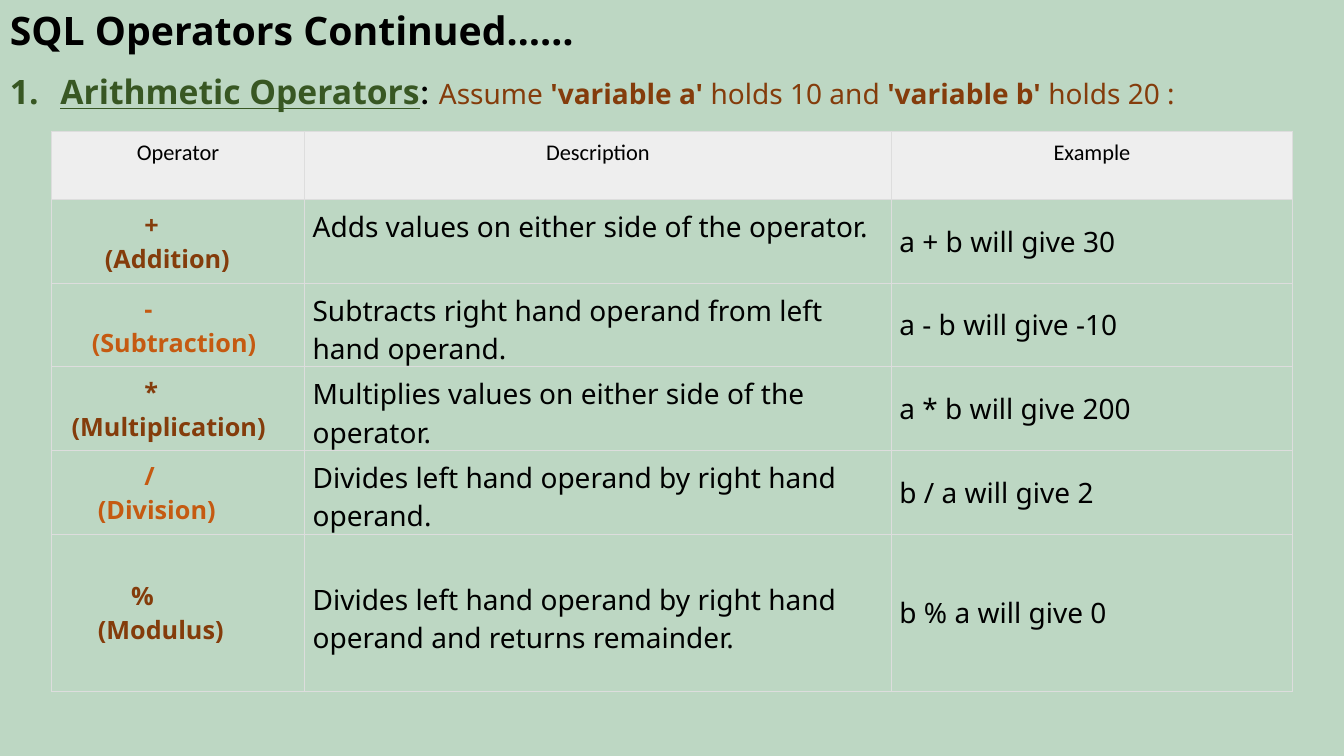
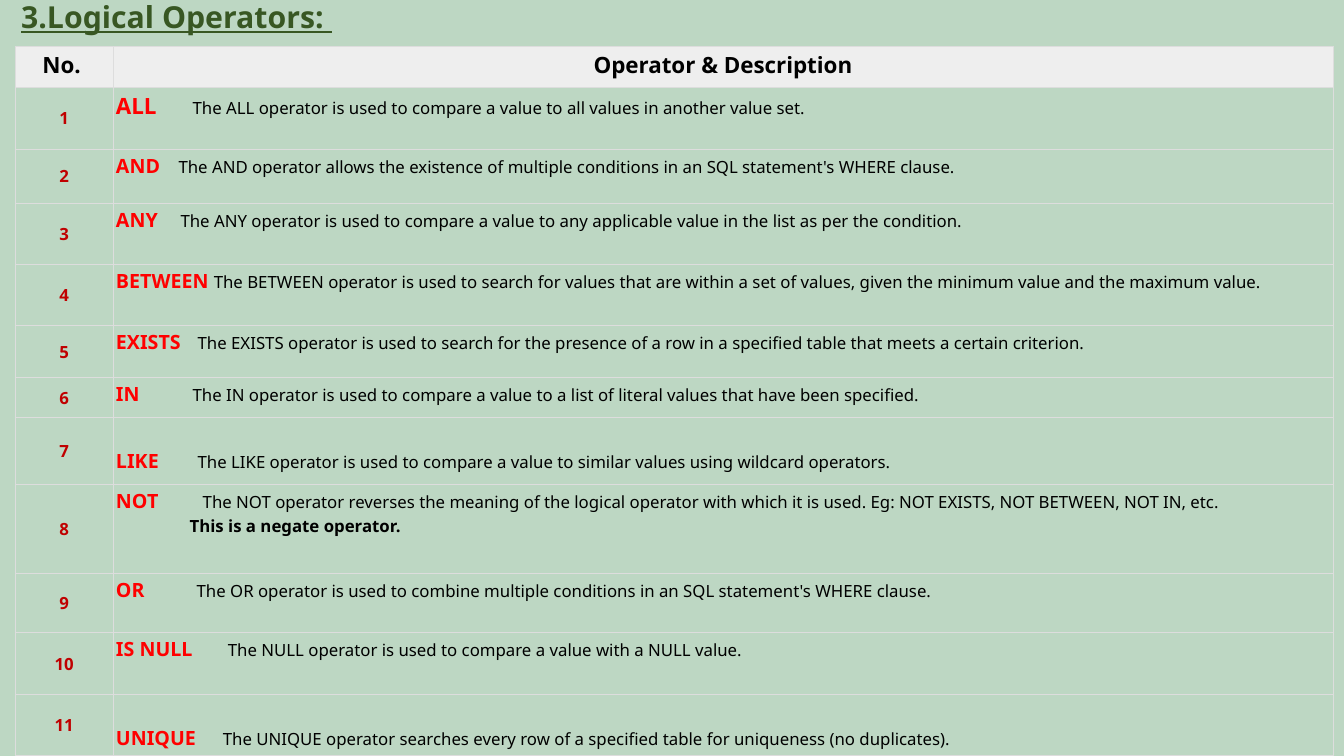
import dataclasses
import itertools

import lxml.etree
import pptx
import pptx.dml.color
import pptx.enum.text
import pptx.oxml.ns
import pptx.util

WIDTH = pptx.util.Inches(13.33)
HEIGHT = pptx.util.Inches(7.5)
PAGE, HEADER_FILL, BORDER = "BDD7C3", "EEEEEE", "DDDDDD"
BLACK, GREEN, BROWN, ORANGE = "000000", "385723", "843C0B", "C55A11"
RED, DARK_RED = "FF0000", "C00000"
BODY_FONT = "Noto Sans"
ALIGN = pptx.enum.text.PP_ALIGN
ANCHOR = pptx.enum.text.MSO_ANCHOR

# Symbol, its indent, name, its indent, description, example, row height
ARITHMETIC = [
    ("+", 0.84, "(Addition)", 0.45,
     "Adds values on either side of the operator.", "a + b will give 30", 0.83),
    ("-", 0.84, "(Subtraction)", 0.32,
     "Subtracts right hand operand from left hand operand.", "a - b will give -10", 0.83),
    ("*", 0.84, "(Multiplication)", 0.12,
     "Multiplies values on either side of the operator.", "a * b will give 200", 0.83),
    ("/", 0.84, "(Division)", 0.38,
     "Divides left hand operand by right hand operand.", "b / a will give 2", 0.83),
    ("%", 0.71, "(Modulus)", 0.38,
     "Divides left hand operand by right hand operand and returns remainder.",
     "b % a will give 0", 1.56),
]

# Operator, tab stop, description, row height
LOGICAL = [
    ("ALL", 0.76, "The ALL operator is used to compare a value to all values in another "
     "value set.", 0.61),
    ("AND", 0.62, "The AND operator allows the existence of multiple conditions in an SQL "
     "statement's WHERE clause.", 0.54),
    ("ANY", 0.64, "The ANY operator is used to compare a value to any applicable value in "
     "the list as per the condition.", 0.6),
    ("BETWEEN", 0.97, "The BETWEEN operator is used to search for values that are within a "
     "set of values, given the minimum value and the maximum value.", 0.61),
    ("EXISTS", 0.81, "The EXISTS operator is used to search for the presence of a row in a "
     "specified table that meets a certain criterion.", 0.52),
    ("IN", 0.76, "The IN operator is used to compare a value to a list of literal values "
     "that have been specified.", 0.39),
    ("LIKE", 0.81, "The LIKE operator is used to compare a value to similar values using "
     "wildcard operators.", 0.67),
    ("NOT", 0.86, "The NOT operator reverses the meaning of the logical operator with which "
     "it is used. Eg: NOT EXISTS, NOT BETWEEN, NOT IN, etc.\u00a0", 0.88),
    ("OR", 0.8, "The OR operator is used to combine multiple conditions in an SQL "
     "statement's WHERE clause.", 0.59),
    ("IS NULL", 1.11, "The NULL operator is used to compare a value with a NULL value.", 0.61),
    ("UNIQUE", 1.06, "The UNIQUE operator searches every row of a specified table for "
     "uniqueness (no duplicates).", 0.61),
]
TERM_SIZES = {"ALL": 16}
LOWERED_TERMS = ("LIKE", "UNIQUE")


@dataclasses.dataclass(frozen=True)
class Style:
    """Character format of a run."""
    size: float
    color: str = BLACK
    bold: bool = False
    underline: bool = False
    font: str = BODY_FONT


def rgb(hex_color):
    """Turn a hex string into a colour."""
    return pptx.dml.color.RGBColor.from_string(hex_color)


def share(left, top, width, height):
    """Turn percentages of the slide into a box."""
    return tuple(int(side * part / 100) for side, part in
                 zip((WIDTH, HEIGHT, WIDTH, HEIGHT), (left, top, width, height)))


def add_element(parent, tag, **attributes):
    """Append a DrawingML element."""
    return lxml.etree.SubElement(parent, pptx.oxml.ns.qn("a:" + tag), attributes)


def write(paragraph, *pieces, align=None, indent=0.0, tab=None):
    """Fill a paragraph with (text, style) pieces."""
    paragraph.alignment = align
    properties = paragraph._p.get_or_add_pPr()
    if indent:
        properties.set("marL", str(pptx.util.Inches(indent)))
    if tab:
        stops = add_element(properties, "tabLst")
        add_element(stops, "tab", pos=str(pptx.util.Inches(tab)), algn="l")
    for text, style in pieces:
        run = paragraph.add_run()
        run.text = text
        run.font.name = style.font
        run.font.size = pptx.util.Pt(style.size)
        run.font.bold = style.bold
        run.font.underline = style.underline
        run.font.color.rgb = rgb(style.color)


def add_heading(slide, box, *pieces, anchor=ANCHOR.MIDDLE):
    """Place a one-line heading in a box and return its paragraph."""
    frame = slide.shapes.add_textbox(*box).text_frame
    frame.word_wrap = True
    frame.vertical_anchor = anchor
    heading = frame.paragraphs[0]
    heading.line_spacing = 0.9
    write(heading, *pieces)
    return heading


def number_heading(heading):
    """Give a heading an automatic number and a hanging indent."""
    heading.space_before = pptx.util.Pt(10)
    properties = heading._p.get_or_add_pPr()
    hang = pptx.util.Inches(0.5)
    properties.set("marL", str(hang))
    properties.set("indent", str(-hang))
    add_element(properties, "buAutoNum", type="arabicPeriod")


def prepare_cell(cell, inset, fill):
    """Set the borders, fill and margins of a cell."""
    properties = cell._tc.get_or_add_tcPr()
    for side in ("lnL", "lnR", "lnT", "lnB"):
        line = add_element(properties, side, w=str(pptx.util.Pt(0.75)))
        add_element(add_element(line, "solidFill"), "srgbClr", val=BORDER)
    if fill:
        cell.fill.solid()
        cell.fill.fore_color.rgb = rgb(fill)
    else:
        cell.fill.background()
    cell.margin_left = cell.margin_right = pptx.util.Inches(inset)
    cell.margin_top = cell.margin_bottom = pptx.util.Inches(inset)


def add_grid(slide, box, columns, rows, inset):
    """Add a table whose columns and rows divide the box by weight."""
    table = slide.shapes.add_table(len(rows), len(columns), *box).table
    table.first_row = table.horz_banding = False
    for column, weight in zip(table.columns, columns):
        column.width = int(box[2] * weight / sum(columns))
    for row, weight in zip(table.rows, rows):
        row.height = int(box[3] * weight / sum(rows))
    for row, column in itertools.product(range(len(rows)), range(len(columns))):
        prepare_cell(table.cell(row, column), inset, None if row else HEADER_FILL)
    return table


def first_line(cell, anchor=ANCHOR.TOP):
    """Anchor a cell and return its first paragraph."""
    cell.vertical_anchor = anchor
    return cell.text_frame.paragraphs[0]


def add_arithmetic_table(slide, box):
    """Build the table of arithmetic operators."""
    heights = [0.68] + [entry[-1] for entry in ARITHMETIC]
    table = add_grid(slide, box, (2.51, 5.82, 3.98), heights, 0.08)
    for column, label in enumerate(("Operator", "Description", "Example")):
        write(first_line(table.cell(0, column)), (label, Style(16, font="Calibri")),
              align=ALIGN.CENTER)
    for row, entry in enumerate(ARITHMETIC, 1):
        symbol, symbol_indent, name, name_indent, description, example, _ = entry
        operator, meaning, result = (table.cell(row, column) for column in range(3))
        style = Style(18, BROWN if row % 2 else ORANGE, bold=True)
        write(first_line(operator, ANCHOR.MIDDLE), (symbol, style), indent=symbol_indent)
        write(operator.text_frame.add_paragraph(), (name, style), indent=name_indent)
        write(first_line(meaning), (description, Style(20)))
        write(first_line(result, ANCHOR.MIDDLE), (example, Style(20)))
        if symbol == "%":
            meaning.margin_top = pptx.util.Inches(0.46)


def add_logical_table(slide, box):
    """Build the numbered table of logical operators."""
    heights = [0.41] + [entry[-1] for entry in LOGICAL]
    table = add_grid(slide, box, (0.97, 12.1), heights, 0.03)
    header = Style(16, bold=True)
    write(first_line(table.cell(0, 0)), ("No.", header), indent=0.24)
    write(first_line(table.cell(0, 1)), ("Operator & Description", header),
          align=ALIGN.CENTER)
    for row, (term, tab, description, _) in enumerate(LOGICAL, 1):
        number, meaning = table.cell(row, 0), table.cell(row, 1)
        write(first_line(number, ANCHOR.MIDDLE), (str(row), Style(12, DARK_RED, bold=True)),
              align=ALIGN.CENTER)
        write(first_line(meaning), (term, Style(TERM_SIZES.get(term, 14), RED, bold=True)),
              ("\t" + description, Style(12)), tab=tab)
        if term in LOWERED_TERMS:
            meaning.margin_top = pptx.util.Inches(0.3)
        if term == "NOT":
            write(meaning.text_frame.add_paragraph(),
                  ("This is a negate operator.", Style(12, bold=True)), indent=0.73)


def add_page(deck):
    """Add a blank slide with the shared background."""
    slide = deck.slides.add_slide(deck.slide_layouts[6])
    slide.background.fill.solid()
    slide.background.fill.fore_color.rgb = rgb(PAGE)
    return slide


def build_arithmetic_slide(deck):
    """Build the slide on arithmetic operators."""
    slide = add_page(deck)
    add_heading(slide, share(0, 0, 82.97, 8.67),
                ("SQL Operators Continued……", Style(28, bold=True)))
    plain, strong = Style(20, BROWN), Style(20, BROWN, bold=True)
    number_heading(add_heading(
        slide, share(0, 8.67, 99.1, 8.67),
        ("Arithmetic Operators", Style(24, GREEN, bold=True, underline=True)),
        (": ", Style(28, font="Calibri")),
        ("Assume\u00a0", plain), ("'variable a'", strong),
        ("\u00a0holds 10 and\u00a0", plain), ("'variable b'", strong),
        ("\u00a0holds 20 : ", plain), anchor=ANCHOR.TOP))
    add_arithmetic_table(slide, share(3.83, 17.33, 92.35, 74.13))


def build_logical_slide(deck):
    """Build the slide on logical operators."""
    slide = add_page(deck)
    add_heading(slide, share(0.83, 0, 99.17, 4.93),
                ("3.Logical Operators: ", Style(21.6, GREEN, bold=True, underline=True)))
    add_logical_table(slide, share(1.13, 6.13, 98.05, 93.87))


def main():
    """Build and save the presentation."""
    deck = pptx.Presentation()
    deck.slide_width, deck.slide_height = WIDTH, HEIGHT
    build_arithmetic_slide(deck)
    build_logical_slide(deck)
    deck.save("out.pptx")


main()
